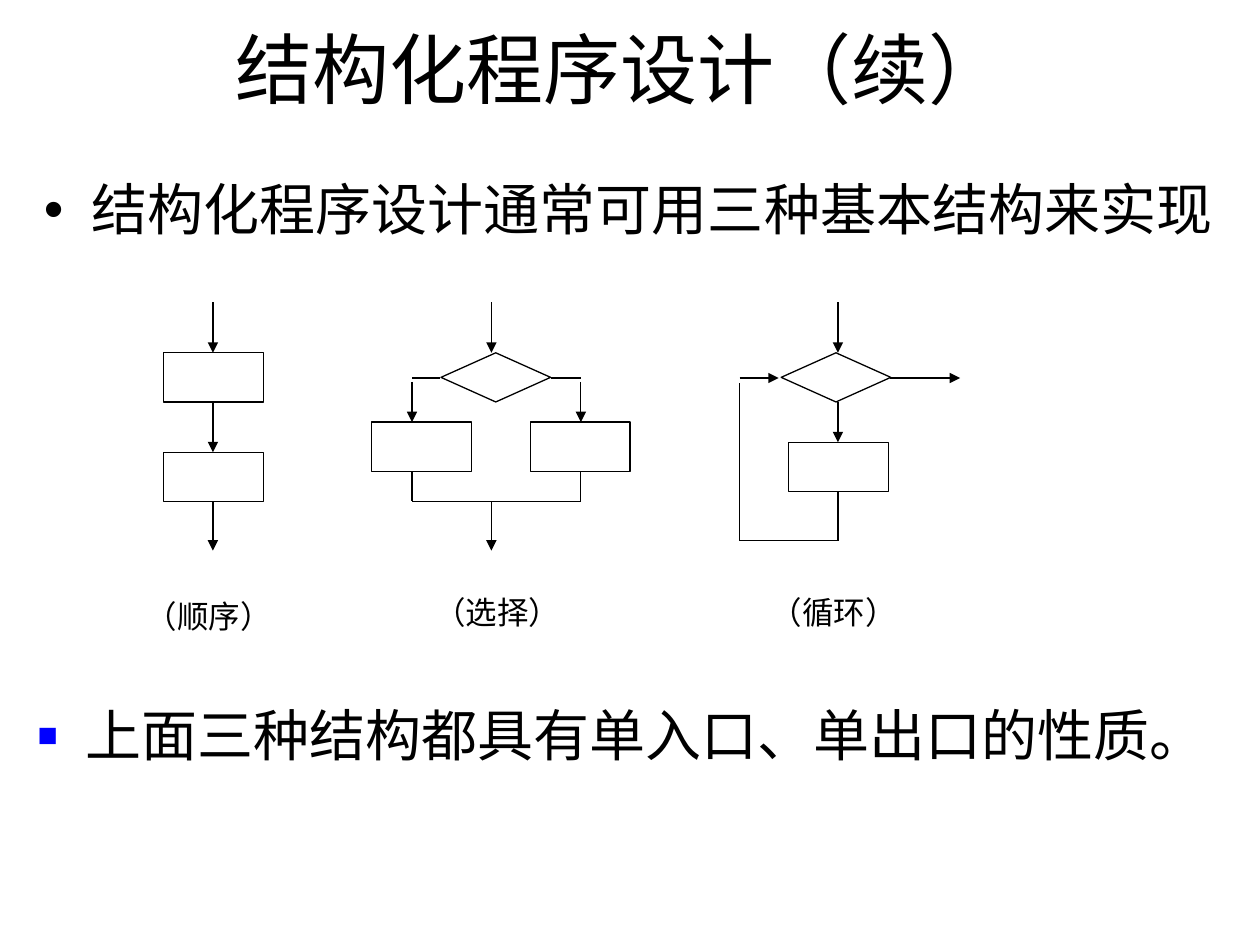
import pptx
import pptx.util
import pptx.dml.color
import pptx.enum.shapes
import pptx.enum.text
import pptx.oxml.ns
import lxml.etree

SHAPE = pptx.enum.shapes.MSO_SHAPE
ALIGN = pptx.enum.text.PP_ALIGN
ANCHOR = pptx.enum.text.MSO_ANCHOR
qn = pptx.oxml.ns.qn
INK = "000000"

# Content: text, place (left, top, width, height), bullet character, colour, percent
TITLE = ("结构化程序设计（续） ", (0.75, 0, 8.5, 1.08))
BULLETS = [
    ("结构化程序设计通常可用三种基本结构来实现", (0.25, 1.4, 9.48, 0.7),
     "Calibri", "•", INK, 100),
    ("上面三种结构都具有单入口、单出口的性质。", (0.2, 5.57, 9.5, 0.62),
     "DejaVu Sans", "■", "0000FF", 60),
]
CAPTIONS = [("（顺序）", 1.06, 4.72), ("（选择）", 3.35, 4.69), ("（循环）", 6.02, 4.69)]

# Flow chart rows and columns
ENTRY, TOP, MIDDLE, LOW, EXIT = 2.4, 2.8, 3.0, 3.98, 4.37
HEIGHT, STEP_WIDTH, TEST_WIDTH = 0.39, 0.79, 0.87
SEQUENCE, CHOICE, LOOP = 1.69, 3.9, 6.65
YES, NO = 3.27, 4.61
BRANCH, SECOND, BODY = 3.35, 3.59, 3.51
BACK, RETURN = 5.87, 4.29

STEPS = [(1.3, TOP), (1.3, SECOND), (2.95, BRANCH), (4.21, BRANCH), (6.26, BODY)]
TESTS = [(3.5, TOP), (6.2, TOP)]
ARROWS = [
    # sequence
    (SEQUENCE, ENTRY, SEQUENCE, TOP),
    (SEQUENCE, TOP + HEIGHT, SEQUENCE, SECOND),
    (SEQUENCE, LOW, SEQUENCE, EXIT),
    # choice
    (CHOICE, ENTRY, CHOICE, TOP),
    (YES, 3.03, YES, BRANCH),
    (NO, 3.03, NO, BRANCH),
    (CHOICE, LOW, CHOICE, EXIT),
    # loop
    (LOOP, ENTRY, LOOP, TOP),
    (LOOP, TOP + HEIGHT, LOOP, BODY),
    (BACK, MIDDLE, 6.18, MIDDLE),
    (7.06, MIDDLE, 7.62, MIDDLE),
]
LINES = [
    # choice
    (3.49, MIDDLE, YES, MIDDLE),
    (NO, MIDDLE, 4.37, MIDDLE),
    (YES, BRANCH + HEIGHT, YES, LOW),
    (NO, BRANCH + HEIGHT, NO, LOW),
    (NO, LOW, YES, LOW),
    # loop
    (LOOP, RETURN, LOOP, BODY + HEIGHT),
    (LOOP, RETURN, BACK, RETURN),
    (BACK, 3.04, BACK, RETURN),
]

deck = pptx.Presentation()
deck.slide_width = pptx.util.Inches(10)
deck.slide_height = pptx.util.Inches(7.5)
page = deck.slides.add_slide(deck.slide_layouts[6])


def inches(values):
    return [pptx.util.Inches(value) for value in values]


def colour(value):
    return pptx.dml.color.RGBColor.from_string(value)


def add_text(text, place, size, font, wrap=True, bullet=None):
    box = page.shapes.add_textbox(*inches(place))
    box.text_frame.word_wrap = wrap
    box.text_frame.text = text
    para = box.text_frame.paragraphs[0]
    if bullet:
        add_bullet(para, *bullet)
    span = para.runs[0]
    span.font.size = pptx.util.Pt(size)
    span.font.name = font
    span.font.color.rgb = colour(INK)
    return box.text_frame, para


def add_bullet(para, mark, mark_colour, percent):
    props = para._p.get_or_add_pPr()
    indent = pptx.util.Inches(0.38)
    props.set("marL", str(indent))
    props.set("indent", str(-indent))
    fill = lxml.etree.SubElement(props, qn("a:buClr"))
    lxml.etree.SubElement(fill, qn("a:srgbClr"), val=mark_colour)
    lxml.etree.SubElement(props, qn("a:buSzPct"), val=str(percent * 1000))
    lxml.etree.SubElement(props, qn("a:buFont"), typeface="Arial")
    lxml.etree.SubElement(props, qn("a:buChar"), char=mark)


def set_outline(item):
    item.line.color.rgb = colour(INK)
    item.line.width = pptx.util.Pt(0.75)


def add_node(kind, left, top, width):
    node = page.shapes.add_shape(kind, *inches((left, top, width, HEIGHT)))
    node.shadow.inherit = False
    node.fill.background()
    set_outline(node)


def add_line(ends, arrow=False):
    line = page.shapes.add_connector(
        pptx.enum.shapes.MSO_CONNECTOR.STRAIGHT, *inches(ends))
    set_outline(line)
    if arrow:
        lxml.etree.SubElement(line.line._get_or_add_ln(), qn("a:tailEnd"),
                              type="triangle")
    lxml.etree.SubElement(line._element.spPr, qn("a:effectLst"))


# Title
frame, heading = add_text(*TITLE, 44, "Calibri")
frame.vertical_anchor = ANCHOR.MIDDLE
heading.alignment = ALIGN.CENTER

# Flow charts
for left, top in STEPS:
    add_node(SHAPE.RECTANGLE, left, top, STEP_WIDTH)
for left, top in TESTS:
    add_node(SHAPE.FLOWCHART_DECISION, left, top, TEST_WIDTH)
for ends in ARROWS:
    add_line(ends, arrow=True)
for ends in LINES:
    add_line(ends)

# Captions
for text, left, top in CAPTIONS:
    frame, para = add_text(text, (left, top, 1.2, 0.37), 18, "DejaVu Sans", wrap=False)
    para.line_spacing = 0.9

# Bulleted statements
for text, place, font, *bullet in BULLETS:
    frame, para = add_text(text, place, 32, font, bullet=bullet)
    para.line_spacing = 0.9

deck.save("out.pptx")
